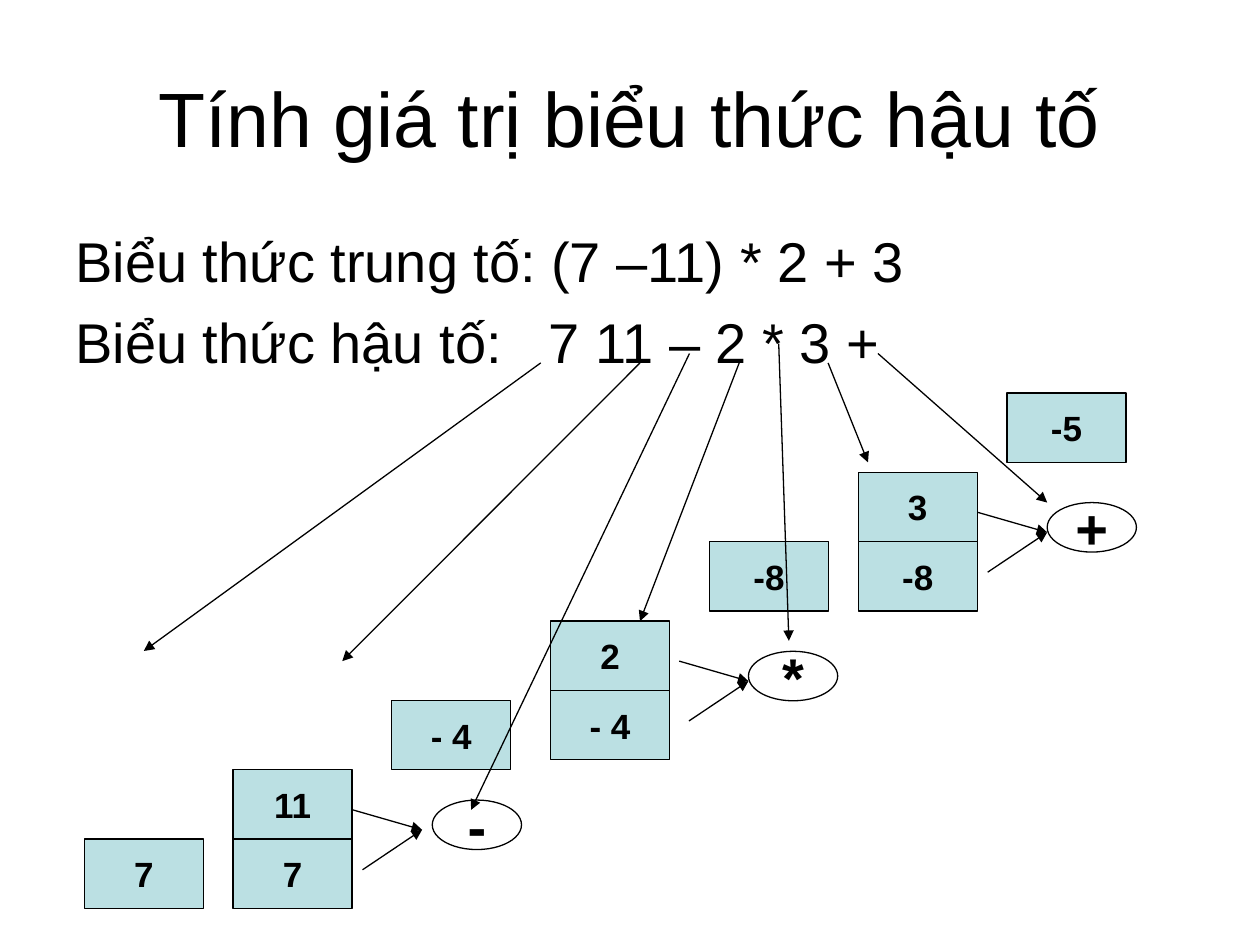
"""Build the slide on evaluating a postfix expression with a stack."""
from lxml.etree import SubElement
from pptx import Presentation
from pptx.dml.color import RGBColor
from pptx.enum.shapes import MSO_CONNECTOR, MSO_SHAPE
from pptx.enum.text import MSO_ANCHOR, PP_ALIGN
from pptx.oxml.ns import qn
from pptx.util import Pt

TITLE = "Tính giá trị biểu thức hậu tố"
EXPRESSIONS = ["Biểu thức trung tố: (7 –11) * 2 + 3",
               "Biểu thức hậu tố:\t7 11 – 2 * 3 +"]
POSTFIX_TAB = 270.5

# STACKS
STACKS = [
    (48.2, 519.1, ["7"]),
    (133.2, 519.1, ["7", "11"]),
    (223.9, 439.9, ["- 4"]),
    (314.6, 434.2, ["- 4", "2"]),
    (405.4, 349.2, ["-8"]),
    (490.4, 349.2, ["-8", "3"]),
    (575.4, 264.2, ["-5"]),
]
OPERATORS = [
    ("-", 247, 457.2, 241.2),
    ("*", 427.7, 372.2, 427.7),
    ("+", 598.4, 287.2, 598.4),
]
TOKEN_ARROWS = [
    ((309, 207.4), (82.2, 372)),
    ((365.7, 207.4), (195.6, 377.8)),
    ((394, 202), (269.2, 462.8)),
    ((422.4, 207.4), (365.7, 355)),
    ((445, 196.4), (450.8, 366.2)),
    ((473.2, 207.4), (496, 264.2)),
    ((501.7, 202), (598.4, 287.2)),
]

CELL_WIDTH, CELL_HEIGHT = 68, 39.7
OPERATOR_WIDTH, OPERATOR_HEIGHT = 51, 28.3
OPERAND_OFFSETS = [(-39.6, -11.4), (-34, 22.8)]
TARGET_DROP = 17

CELL_FONT = {"size": Pt(20), "name": "Arial", "bold": True}
OPERATOR_FONT = {"size": Pt(32), "name": "Arial", "bold": True}
TITLE_FONT = {"size": Pt(44), "name": "Arial", "bold": False}
EXPRESSION_FONT = {"size": Pt(32), "name": "Arial", "bold": False}


def color(hex_value):
    return RGBColor.from_string(hex_value)


def write(paragraph, text, font_format):
    run = paragraph.add_run()
    run.text = text
    for attribute, value in font_format.items():
        setattr(run.font, attribute, value)
    run.font.color.rgb = color("000000")


def add_node(slide, kind, box, text, fill, font_format):
    node = slide.shapes.add_shape(kind, *map(Pt, box))
    node.shadow.inherit = False
    node.fill.solid()
    node.fill.fore_color.rgb = color(fill)
    node.line.color.rgb = color("000000")
    node.line.width = Pt(0.75)
    frame = node.text_frame
    frame.word_wrap = False
    frame.vertical_anchor = MSO_ANCHOR.MIDDLE
    frame.paragraphs[0].alignment = PP_ALIGN.CENTER
    write(frame.paragraphs[0], text, font_format)


def add_arrow(slide, start, end):
    arrow = slide.shapes.add_connector(MSO_CONNECTOR.STRAIGHT, *map(Pt, (*start, *end)))
    arrow.line.color.rgb = color("000000")
    arrow.line.width = Pt(0.75)
    SubElement(arrow.line._get_or_add_ln(), qn("a:tailEnd"), type="triangle")
    SubElement(arrow._element.spPr, qn("a:effectLst"))


def add_text(slide, box):
    frame = slide.shapes.add_textbox(*map(Pt, box)).text_frame
    frame.word_wrap = True
    return frame


def main():
    deck = Presentation()
    deck.slide_width, deck.slide_height = Pt(720), Pt(540)
    slide = deck.slides.add_slide(deck.slide_layouts[6])

    heading = add_text(slide, (36, 21.6, 648, 90))
    heading.vertical_anchor = MSO_ANCHOR.MIDDLE
    heading.paragraphs[0].alignment = PP_ALIGN.CENTER
    write(heading.paragraphs[0], TITLE, TITLE_FONT)

    body = add_text(slide, (36, 126, 648, 356.4))
    infix, postfix = body.paragraphs[0], body.add_paragraph()
    tabs = SubElement(postfix._p.get_or_add_pPr(), qn("a:tabLst"))
    SubElement(tabs, qn("a:tab"), pos=str(Pt(POSTFIX_TAB)), algn="l")
    postfix.space_before = Pt(8)
    for paragraph, expression in zip((infix, postfix), EXPRESSIONS):
        write(paragraph, expression, EXPRESSION_FONT)

    for left, bottom, values in STACKS:
        for level, value in enumerate(values, start=1):
            box = (left, bottom - level * CELL_HEIGHT, CELL_WIDTH, CELL_HEIGHT)
            add_node(slide, MSO_SHAPE.RECTANGLE, box, value, "BBE0E3", CELL_FONT)

    for operator, left, top, target_x in OPERATORS:
        target_y = top + TARGET_DROP
        for dx, dy in OPERAND_OFFSETS:
            add_arrow(slide, (target_x + dx, target_y + dy), (target_x, target_y))
        box = (left, top, OPERATOR_WIDTH, OPERATOR_HEIGHT)
        add_node(slide, MSO_SHAPE.OVAL, box, operator, "FFFFFF", OPERATOR_FONT)

    for start, end in TOKEN_ARROWS:
        add_arrow(slide, start, end)

    deck.save("out.pptx")


if __name__ == "__main__":
    main()
